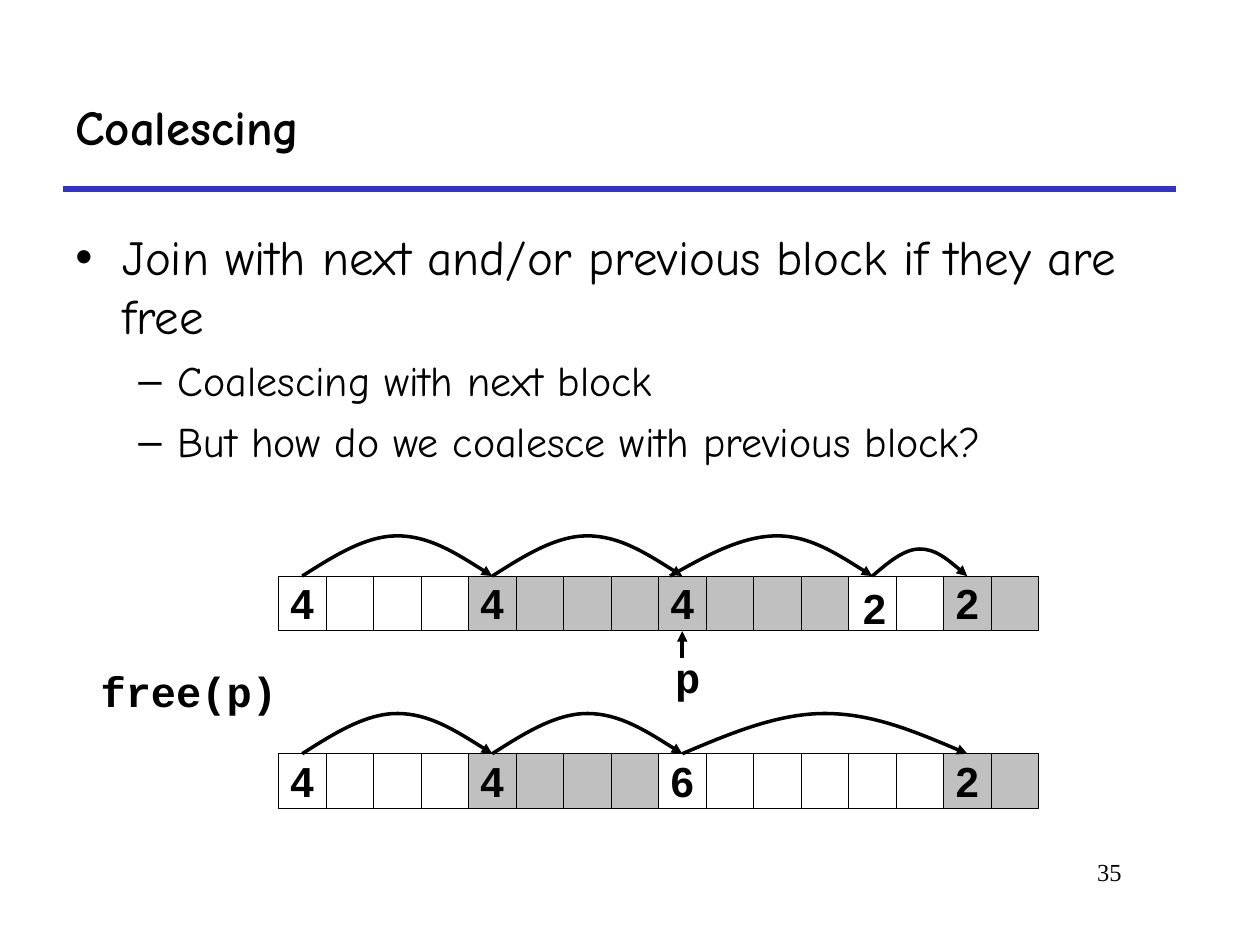
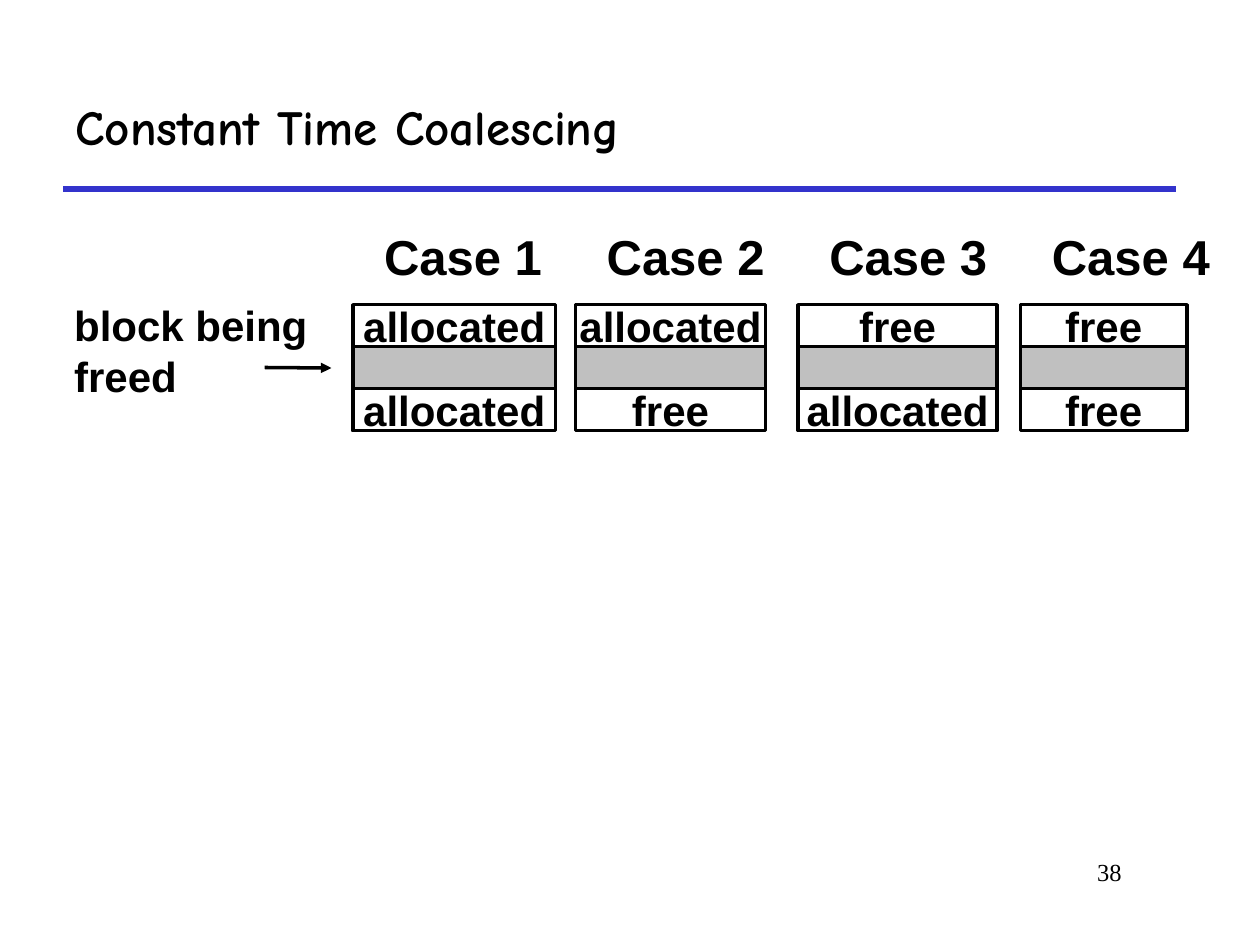
from lxml import etree
from pptx import Presentation
from pptx import util as u
from pptx.dml.color import RGBColor
from pptx.enum import shapes, text
from pptx.oxml import ns

BLACK, WHITE, GREY, BLUE = "000000", "FFFFFF", "C0C0C0", "3333CC"
LEFT, WIDTH = 36, 636
ALIGN = text.PP_ALIGN


def color(hex_string):
    """Turn a hex string into a colour."""
    return RGBColor.from_string(hex_string)


def add_element(parent, tag, **attributes):
    """Append a drawing element with its attributes."""
    return etree.SubElement(parent, ns.qn(tag), attributes)


def write(paragraph, words, font="Arial", size=24, bold=True,
          align=ALIGN.LEFT, before=0):
    """Put formatted words into a paragraph."""
    paragraph.alignment = align
    paragraph.space_before = u.Pt(before)
    run = paragraph.add_run()
    run.text = words
    run.font.name, run.font.size, run.font.bold = font, u.Pt(size), bold
    run.font.color.rgb = color(BLACK)


def add_bullet(paragraph, mark, margin, indent):
    """Give a paragraph a bullet with a hanging indent."""
    properties = paragraph._p.get_or_add_pPr()
    properties.set("marL", str(u.Pt(margin)))
    properties.set("indent", str(u.Pt(-indent)))
    add_element(properties, "a:buFont", typeface="Arial")
    add_element(properties, "a:buChar", char=mark)


class Deck:
    """Holds the style and the current slide."""

    def __init__(self):
        """Start an empty presentation."""
        self.presentation = Presentation()
        self.presentation.slide_width = u.Pt(720)
        self.presentation.slide_height = u.Pt(540)
        self.slide = None

    def add_slide(self, title, number):
        """Add a slide with its title, rule and page number."""
        layout = self.presentation.slide_layouts[6]
        self.slide = self.presentation.slides.add_slide(layout)
        self.line(LEFT, 108, LEFT + WIDTH, 108, line=BLUE, weight=3, arrow=False)
        self.text([title], LEFT, 36, WIDTH, 72, wrap=True,
                  anchor=text.MSO_ANCHOR.MIDDLE, font="Comic Neue", size=28)
        self.text([number], 546, 486, 102, 36, wrap=True,
                  font="Times New Roman", size=14, bold=False, align=ALIGN.RIGHT)

    def text(self, lines, left, top, width, height, wrap=False,
             anchor=text.MSO_ANCHOR.TOP, **style):
        """Add a text box with one paragraph per line."""
        box = self.slide.shapes.add_textbox(*map(u.Pt, (left, top, width, height)))
        frame = box.text_frame
        frame.word_wrap, frame.vertical_anchor = wrap, anchor
        if not wrap:
            frame.auto_size = text.MSO_AUTO_SIZE.SHAPE_TO_FIT_TEXT
        for index, words in enumerate(lines):
            paragraph = frame.add_paragraph() if index else frame.paragraphs[0]
            write(paragraph, words, **style)

    def bullets(self, items, left, top, width, height):
        """Add a bulleted list of (level, words) items."""
        box = self.slide.shapes.add_textbox(*map(u.Pt, (left, top, width, height)))
        frame = box.text_frame
        frame.word_wrap = True
        levels = [(28, 7, "\u2022", 27, 27), (24, 6, "\u2013", 58.5, 22.5)]
        for index, (level, words) in enumerate(items):
            size, before, mark, margin, indent = levels[level]
            paragraph = frame.add_paragraph() if index else frame.paragraphs[0]
            paragraph.level = level
            write(paragraph, words, font="Comic Neue", size=size, bold=False,
                  before=before)
            add_bullet(paragraph, mark, margin, indent)

    def box(self, left, top, width, height, fill, weight, words=""):
        """Add an outlined rectangle with an optional centred label."""
        shape = self.slide.shapes.add_shape(
            shapes.MSO_SHAPE.RECTANGLE, *map(u.Pt, (left, top, width, height)))
        shape.shadow.inherit = False
        shape.fill.solid()
        shape.fill.fore_color.rgb = color(fill)
        self.stroke(shape, BLACK, weight)
        if words:
            frame = shape.text_frame
            frame.word_wrap = False
            frame.vertical_anchor = text.MSO_ANCHOR.MIDDLE
            write(frame.paragraphs[0], words, align=ALIGN.CENTER)

    def stroke(self, shape, line=BLACK, weight=2, arrow=False):
        """Set the outline of a shape, with an arrowhead if wanted."""
        shape.line.color.rgb = color(line)
        shape.line.width = u.Pt(weight)
        if arrow:
            add_element(shape.line._get_or_add_ln(), "a:tailEnd", type="triangle")

    def line(self, x1, y1, x2, y2, line=BLACK, weight=2, arrow=True):
        """Add a straight line or arrow."""
        connector = self.slide.shapes.add_connector(
            shapes.MSO_CONNECTOR.STRAIGHT, *map(u.Pt, (x1, y1, x2, y2)))
        self.stroke(connector, line, weight, arrow)
        add_element(connector._element.spPr, "a:effectLst")

    def arc(self, start, apex, end, base, height):
        """Add a curved arrow that rises from the base line to the apex."""
        top, middle = base - height, base - height / 2
        rise, fall = (apex - start) / 3, (end - apex) / 3
        points = [(start + rise, middle), (apex - rise, top), (apex, top),
                  (apex + fall, top), (end - fall, middle), (end, base)]
        builder = self.slide.shapes.build_freeform(u.Pt(start), u.Pt(base))
        builder.add_line_segments([(u.Pt(x), u.Pt(y)) for x, y in points], close=False)
        shape = builder.convert_to_shape()
        outline = next(shape._element.iter(ns.qn("a:path")))
        segments = outline.findall(ns.qn("a:lnTo"))
        for first in range(0, len(segments), 3):
            curve = add_element(outline, "a:cubicBezTo")
            for segment in segments[first:first + 3]:
                curve.append(segment[0])
                outline.remove(segment)
        shape.shadow.inherit = False
        shape.fill.background()
        self.stroke(shape, arrow=True)


CELL, CELL_HEIGHT, HEAP_LEFT = 27.15, 31, 159.1


def cell_center(index):
    """Give the horizontal centre of a heap cell."""
    return HEAP_LEFT + CELL * (index + 0.5)


def draw_heap(deck, top, blocks, jumps):
    """Draw a row of memory blocks and the jumps between their headers."""
    index = 0
    for size, fill, label in blocks:
        for offset in range(size):
            deck.box(HEAP_LEFT + CELL * index, top, CELL, CELL_HEIGHT, fill, 0.26,
                     "" if offset else label)
            index += 1
    for first, last, height, lead in jumps:
        start, end = cell_center(first), cell_center(last)
        deck.arc(start - lead, (start + end) / 2, end, top, height)


deck = Deck()

deck.add_slide("Coalescing", "35")
deck.bullets([(0, "Join with next and/or previous block if they are free"),
              (1, "Coalescing with next block"),
              (1, "But how do we coalesce with previous block?")],
             LEFT, 126, WIDTH, 348)
draw_heap(deck, 329.2,
          [(4, WHITE, "4"), (4, GREY, "4"), (4, GREY, "4"), (2, WHITE, ""),
           (2, GREY, "2")],
          [(0, 4, 23, 0), (4, 8, 23, 0), (8, 12, 23, 7), (12, 14, 15.5, 0)])
deck.text(["2"], 486, 329.2, 27.4, 36)
deck.text(["free(p)"], 50.4, 376.6, 115.2, 36, font="Courier New")
deck.text(["p"], 378.7, 368.6, 28.8, 36, font="Courier New")
deck.line(cell_center(8), 376, cell_center(8), 360.6)
draw_heap(deck, 430.7,
          [(4, WHITE, "4"), (4, GREY, "4"), (6, WHITE, "6"), (2, GREY, "2")],
          [(0, 4, 23, 0), (4, 8, 23, 0), (8, 14, 23, 0)])

deck.add_slide("Constant Time Coalescing", "38")
cases = [(116, "allocated", "allocated"), (108.7, "allocated", "free"),
         (113.8, "free", "allocated"), (95, "free", "free")]
CASE_LEFT, CASE_PITCH, CASE_TOP, ROW = 201.6, 127.2, 174.1, 24
for case, (width, previous, following) in enumerate(cases):
    left = CASE_LEFT + CASE_PITCH * case
    rows = [(GREY, 1, ""), (WHITE, 0, previous), (WHITE, 2, following)]
    for fill, row, label in rows:
        deck.box(left, CASE_TOP + ROW * row, width, ROW, fill, 2, label)
    deck.text([f"Case {case + 1}"], left + 10.8, 126, 104.4, 41, size=28)
deck.text(["block being", "freed"], 35.3, 167.8, 147.6, 64.8)
deck.line(151.2, 210, 189.4, 210.3)

deck.presentation.save("out.pptx")
